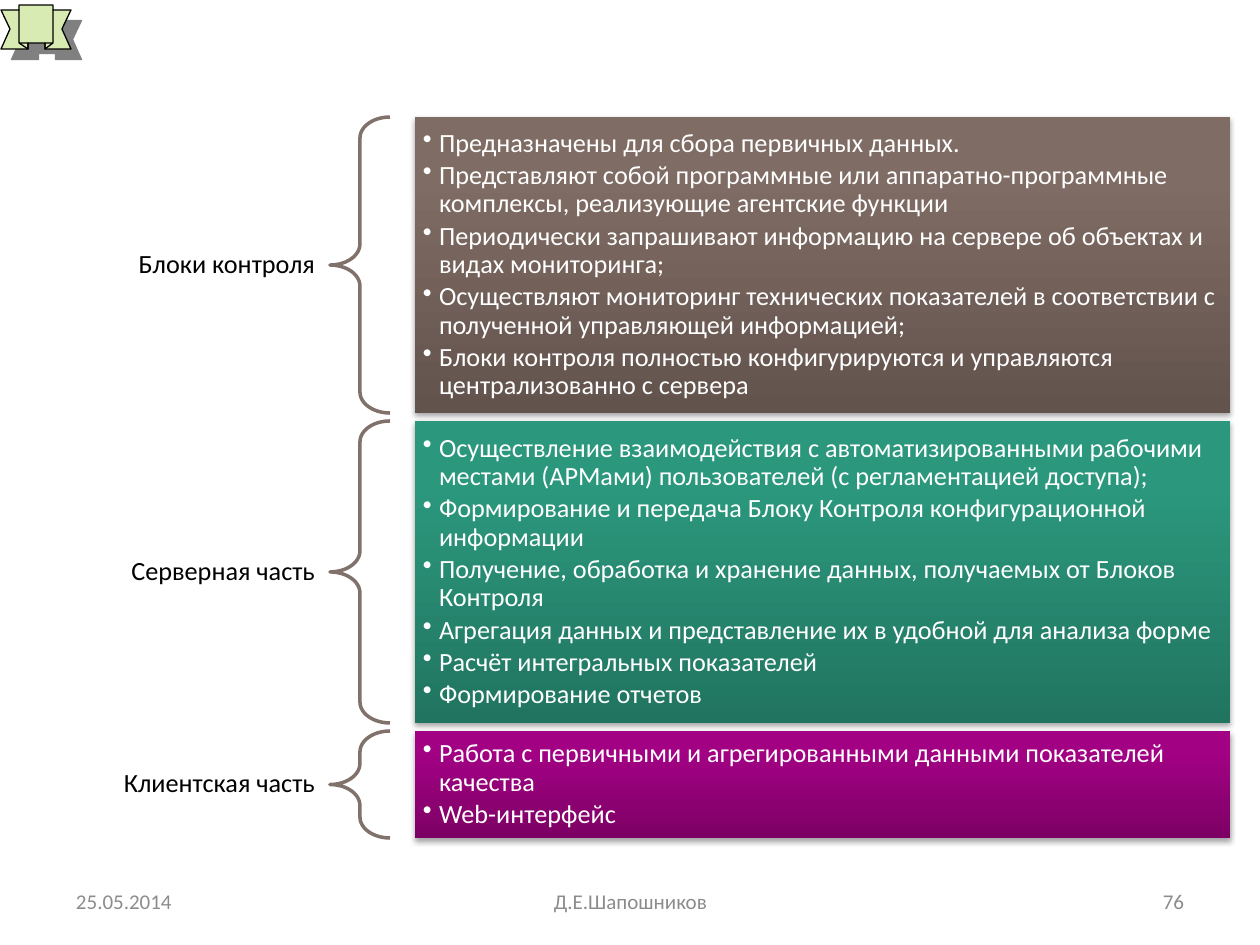
from copy import deepcopy

from pptx import Presentation
from pptx.dml.color import RGBColor
from pptx.enum.shapes import MSO_SHAPE
from pptx.enum.text import MSO_ANCHOR, PP_ALIGN
from pptx.oxml.ns import qn
from pptx.oxml.xmlchemy import OxmlElement
from pptx.util import Emu, Pt

PX = 914400 // 126
RECT, BRACE = MSO_SHAPE.RECTANGLE, MSO_SHAPE.LEFT_BRACE
MIDDLE = MSO_ANCHOR.MIDDLE
LEFT, CENTER, RIGHT = PP_ALIGN.LEFT, PP_ALIGN.CENTER, PP_ALIGN.RIGHT

BLACK = RGBColor(0x00, 0x00, 0x00)
WHITE = RGBColor(0xFF, 0xFF, 0xFF)
GRAY = RGBColor(0x8C, 0x8C, 0x8C)
SHADE = RGBColor(0x80, 0x80, 0x80)
LIME = RGBColor(0xD8, 0xEB, 0xB3)
TAUPE = RGBColor(0x80, 0x71, 0x6A)
# Gradients run from the bottom edge to the top
STOPS = (0, 0.8, 1)
BROWN = (RGBColor(0x62, 0x53, 0x4D), RGBColor(0x7F, 0x6C, 0x64), RGBColor(0x80, 0x6D, 0x63))
GREEN = (RGBColor(0x21, 0x75, 0x60), RGBColor(0x2B, 0x98, 0x7D), RGBColor(0x29, 0x9A, 0x7E))
PLUM = (RGBColor(0x7D, 0x01, 0x65), RGBColor(0xA2, 0x01, 0x84), RGBColor(0xA4, 0x00, 0x85))

TOP, GAP = 117, 8
LABEL_H = 40
PARTS = [
    ("Блоки контроля", 296, BROWN, [
        "Предназначены для сбора первичных данных.",
        "Представляют собой программные или аппаратно-программные комплексы, "
        "реализующие агентские функции",
        "Периодически запрашивают информацию на сервере об объектах и видах мониторинга;",
        "Осуществляют мониторинг технических показателей в соответствии с полученной "
        "управляющей информацией;",
        "Блоки контроля полностью конфигурируются и управляются централизованно с сервера",
    ]),
    ("Серверная часть", 302, GREEN, [
        "Осуществление взаимодействия с автоматизированными рабочими местами (АРМами) "
        "пользователей (с регламентацией доступа);",
        "Формирование и передача Блоку Контроля конфигурационной информации",
        "Получение, обработка и хранение данных, получаемых от Блоков Контроля",
        "Агрегация данных и представление их в удобной для анализа форме",
        "Расчёт интегральных показателей",
        "Формирование отчетов",
    ]),
    ("Клиентская часть", 107, PLUM, [
        "Работа с первичными и агрегированными данными показателей качества",
        "Web-интерфейс",
    ]),
]
FOOTER = [
    ("25.05.2014", 63, 294, LEFT),
    ("Д.Е.Шапошников", 431, 399, CENTER),
    ("76", 903, 294, RIGHT),
]
# Ribbon outline and the folds behind its middle panel
RIBBON = [(1, 49), (28, 49), (28, 43), (45, 43), (45, 49), (71, 49), (62, 29),
          (71, 10), (53, 10), (53, 5), (19, 5), (19, 10), (1, 10), (10, 29)]
FOLDS = [[(19, 10), (19, 43), (28, 49), (28, 43), (19, 43)],
         [(53, 10), (53, 43), (45, 49), (45, 43), (53, 43)]]


def px(*nums):
    return [Emu(n * PX) for n in nums]


def style(item, form):
    for name, value in form.items():
        setattr(item, name, value)


def cast(shape, color, alpha, blur, dist, angle):
    """Give the shape an outer shadow."""
    shape.shadow.inherit = False
    outer = OxmlElement("a:outerShdw")
    for name, value in {"blurRad": Pt(blur), "dist": Pt(dist),
                        "dir": angle * 60000, "rotWithShape": 0}.items():
        outer.set(name, str(value))
    tint = OxmlElement("a:srgbClr")
    tint.set("val", str(color))
    clear = OxmlElement("a:alpha")
    clear.set("val", str(alpha * 1000))
    tint.append(clear)
    outer.append(tint)
    shape._element.spPr.find(qn("a:effectLst")).append(outer)


def blend(shape, colors):
    """Fill the shape with a three-stop upward gradient."""
    fill = shape.fill
    fill.gradient()
    fill.gradient_angle = 90
    stops = shape._element.spPr.find(".//" + qn("a:gsLst"))
    stops.append(deepcopy(stops[-1]))
    for stop, place, color in zip(fill.gradient_stops, STOPS, colors):
        stop.position = place
        stop.color.rgb = color


def bullet(para):
    props = para._p.get_or_add_pPr()
    props.set("marL", str(16 * PX))
    props.set("indent", str(-16 * PX))
    mark = OxmlElement("a:buChar")
    mark.set("char", "•")
    props.append(mark)


def write(shape, lines, size, color, form, inset, dots=False):
    frame = shape.text_frame
    side, edge = px(*inset)
    style(frame, {"word_wrap": True, "vertical_anchor": MIDDLE,
                  "margin_left": side, "margin_right": side,
                  "margin_top": edge, "margin_bottom": edge})
    for i, line in enumerate(lines):
        para = frame.add_paragraph() if i else frame.paragraphs[0]
        style(para, form)
        if dots:
            bullet(para)
        run = para.add_run()
        run.text = line
        style(run.font, {"name": "Calibri", "size": Pt(size)})
        run.font.color.rgb = color


def outline(slide, points, closed):
    pen = slide.shapes.build_freeform(*points[0], scale=PX)
    pen.add_line_segments(points[1:], close=closed)
    shape = pen.convert_to_shape()
    shape.shadow.inherit = False
    shape.line.color.rgb = BLACK
    shape.line.width = Pt(0.75)
    return shape


def ribbon(slide):
    body = outline(slide, RIBBON, True)
    body.fill.solid()
    body.fill.fore_color.rgb = LIME
    cast(body, SHADE, 100, 0, 8.5, 45)
    for fold in FOLDS:
        outline(slide, fold, False).fill.background()


def label(slide, text, mid):
    box = slide.shapes.add_textbox(*px(30, mid - LABEL_H // 2, 300, LABEL_H))
    write(box, [text], 15, BLACK, {"alignment": RIGHT, "line_spacing": 0.9}, (15, 5))


def brace(slide, top, high):
    shape = slide.shapes.add_shape(BRACE, *px(330, top, 60, high))
    shape.adjustments[0] = 0.35
    shape.shadow.inherit = False
    shape.fill.background()
    shape.line.color.rgb = TAUPE
    shape.line.width = Pt(2)


def panel(slide, top, high, colors, lines):
    shape = slide.shapes.add_shape(RECT, *px(415, top, 815, high))
    blend(shape, colors)
    shape.line.fill.background()
    cast(shape, BLACK, 35, 3.1, 1.8, 90)
    form = {"alignment": LEFT, "line_spacing": 0.9, "space_after": Pt(2.25)}
    write(shape, lines, 15, WHITE, form, (8, 8), dots=True)


def main():
    deck = Presentation()
    deck.slide_width, deck.slide_height = px(1260, 945)
    slide = deck.slides.add_slide(deck.slide_layouts[6])
    ribbon(slide)

    # Parts of the system, one below another
    top = TOP
    for name, high, colors, lines in PARTS:
        label(slide, name, top + high // 2)
        brace(slide, top, high)
        panel(slide, top, high, colors, lines)
        top += high + GAP

    # Footer
    for text, left, wide, align in FOOTER:
        box = slide.shapes.add_textbox(*px(left, 876, wide, 50))
        write(box, [text], 12, GRAY, {"alignment": align}, (13, 6))
    deck.save("out.pptx")


if __name__ == "__main__":
    main()
